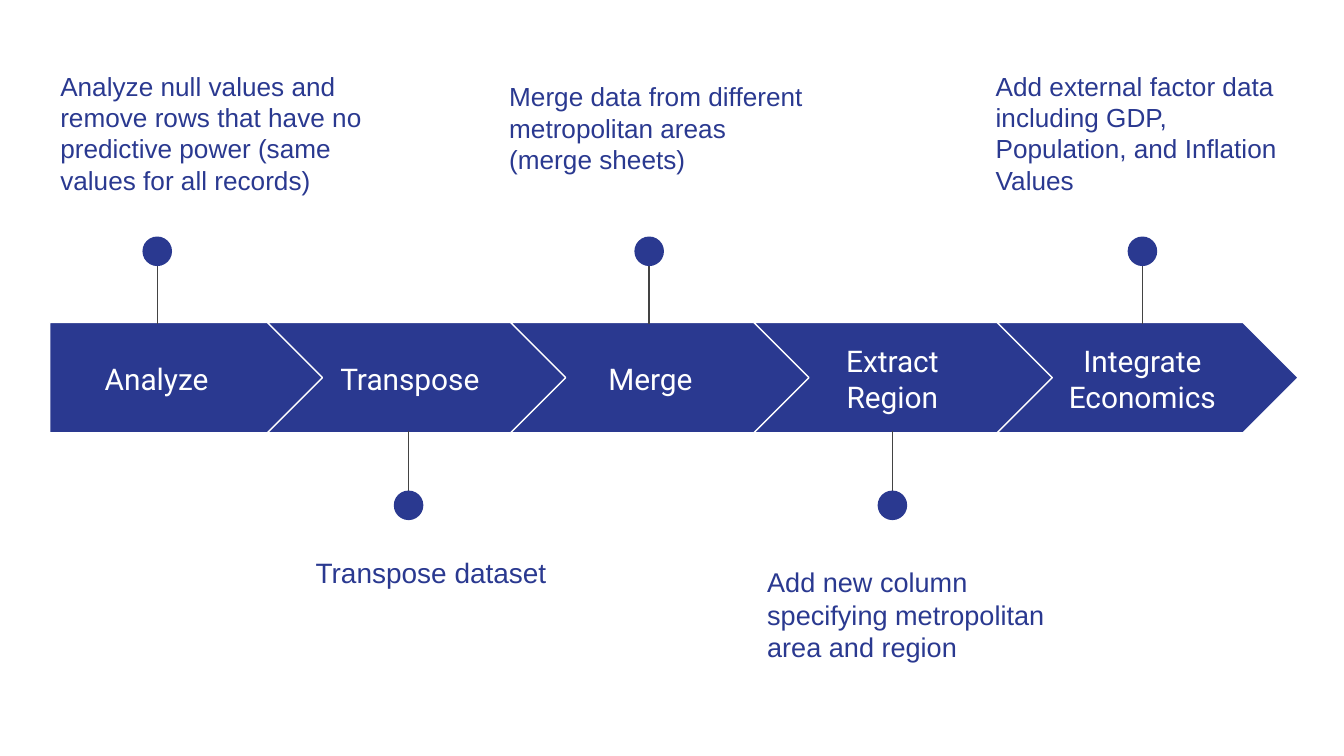
from lxml import etree
from pptx import Presentation
from pptx.dml.color import RGBColor
from pptx.enum.shapes import MSO_CONNECTOR, MSO_SHAPE
from pptx.enum.text import MSO_ANCHOR, PP_ALIGN
from pptx.oxml.ns import qn
from pptx.util import Inches, Pt

PENTAGON, CHEVRON, OVAL = MSO_SHAPE.PENTAGON, MSO_SHAPE.CHEVRON, MSO_SHAPE.OVAL
STRAIGHT = MSO_CONNECTOR.STRAIGHT
TOP, MIDDLE = MSO_ANCHOR.TOP, MSO_ANCHOR.MIDDLE
LEFT, CENTER = PP_ALIGN.LEFT, PP_ALIGN.CENTER

NAVY = RGBColor(0x2A, 0x39, 0x90)
WHITE = RGBColor(0xFF, 0xFF, 0xFF)
GRAY = RGBColor(0x43, 0x43, 0x43)

BAND_TOP, BAND_HEIGHT = 2.4, 0.82
CHEVRON_LEFT, CHEVRON_WIDTH, STEP = 1.99, 2.24, 1.81
DOT = 0.22


class Timeline:
    def __init__(self, slide):
        self.slide = slide

    def shape(self, kind, left, top, width, height, outline=None):
        shape = self.slide.shapes.add_shape(
            kind, Inches(left), Inches(top), Inches(width), Inches(height))
        shape.shadow.inherit = False
        shape.fill.solid()
        shape.fill.fore_color.rgb = NAVY
        if outline is None:
            shape.line.fill.background()
        else:
            shape.line.color.rgb = outline
            shape.line.width = Pt(0.75)
        return shape

    def arrow(self, index):
        if index == 0:
            arrow = self.shape(PENTAGON, 0.37, BAND_TOP, 2.05, BAND_HEIGHT, WHITE)
        else:
            left = CHEVRON_LEFT + (index - 1) * STEP
            arrow = self.shape(CHEVRON, left, BAND_TOP, CHEVRON_WIDTH, BAND_HEIGHT, WHITE)
        arrow.adjustments[0] = 0.5

    def text(self, words, left, top, width, height, size, font, color,
             align=LEFT, anchor=TOP, indent=0):
        box = self.slide.shapes.add_textbox(
            Inches(left), Inches(top), Inches(width), Inches(height))
        frame = box.text_frame
        frame.word_wrap = True
        frame.vertical_anchor = anchor
        frame.margin_left = frame.margin_right = Inches(0.1)
        frame.margin_top = frame.margin_bottom = Inches(0.1)
        paragraph = frame.paragraphs[0]
        paragraph.text = words
        paragraph.alignment = align
        paragraph.line_spacing = 1.0
        if indent:
            paragraph._p.get_or_add_pPr().set("marL", str(Inches(indent)))
        paragraph.font.size = Pt(size)
        paragraph.font.name = font
        paragraph.font.color.rgb = color

    def pin(self, center, above):
        start, end, dot_top = (1.8, 2.41, 1.76) if above else (3.82, 3.21, 3.65)
        stem = self.slide.shapes.add_connector(
            STRAIGHT, Inches(center), Inches(start), Inches(center), Inches(end))
        stem.line.color.rgb = GRAY
        stem.line.width = Pt(0.75)
        etree.SubElement(stem._element.spPr, qn("a:effectLst"))
        self.shape(OVAL, center - DOT / 2, dot_top, DOT, DOT)


# Step: name, label left and width, pin center,
# note text, note left, top and height, text size, indent
STEPS = [
    ("Analyze", 0.37, 1.59, 1.17,
     "Analyze null values and remove rows that have no predictive power "
     "(same values for all records)", 0.35, 0.42, 1.15, 14, 0),
    ("Transpose", 2.33, 1.44, 3.04,
     "Transpose dataset", 1.75, 4.03, 0.99, 15, 0.5),
    ("Merge", 4.12, 1.44, 4.83,
     "Merge data from different metropolitan areas (merge sheets)",
     3.69, 0.5, 0.99, 14, 0),
    ("Extract Region", 5.92, 1.44, 6.64,
     "Add new column specifying metropolitan area and region",
     5.61, 4.11, 0.99, 14.5, 0),
    ("Integrate Economics", 7.78, 1.44, 8.5,
     "Add external factor data including GDP, Population, and Inflation Values",
     7.31, 0.42, 0.99, 14, 0),
]


def main():
    # Widescreen 16:9 slide
    presentation = Presentation()
    presentation.slide_width = Inches(10)
    presentation.slide_height = Inches(10) * 9 // 16
    slide = presentation.slides.add_slide(presentation.slide_layouts[6])
    timeline = Timeline(slide)

    # Each step: arrow, label, pin and note, alternating above and below
    for index, step in enumerate(STEPS):
        (name, label_left, label_width, center,
         note, note_left, note_top, note_height, size, indent) = step
        timeline.arrow(index)
        timeline.text(name, label_left, 2.56, label_width, 0.51, 16, "Roboto",
                      WHITE, CENTER, MIDDLE)
        timeline.pin(center, above=index % 2 == 0)
        timeline.text(note, note_left, note_top, 2.45, note_height, size, "Arial",
                      NAVY, indent=indent)

    presentation.save("out.pptx")


if __name__ == "__main__":
    main()
